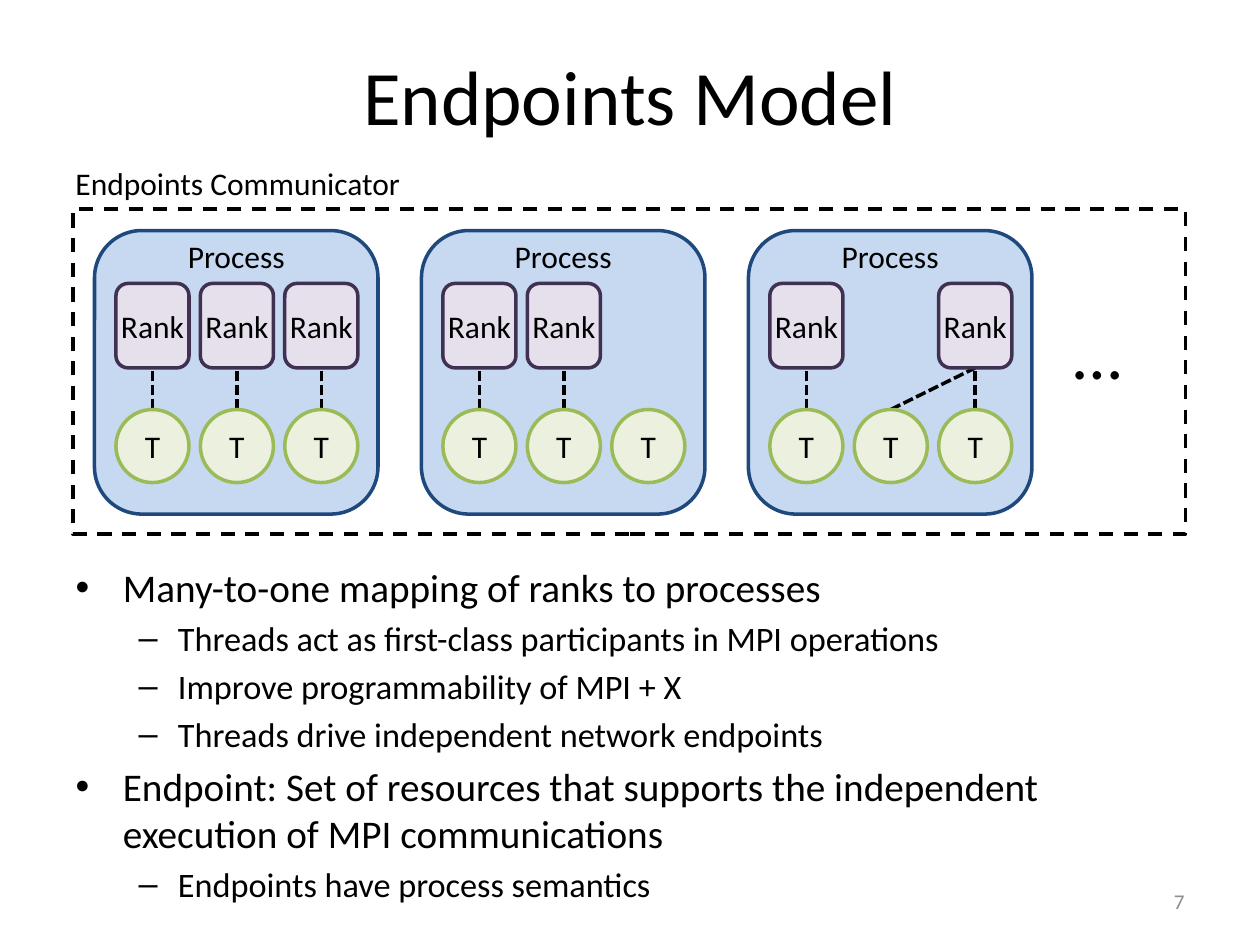
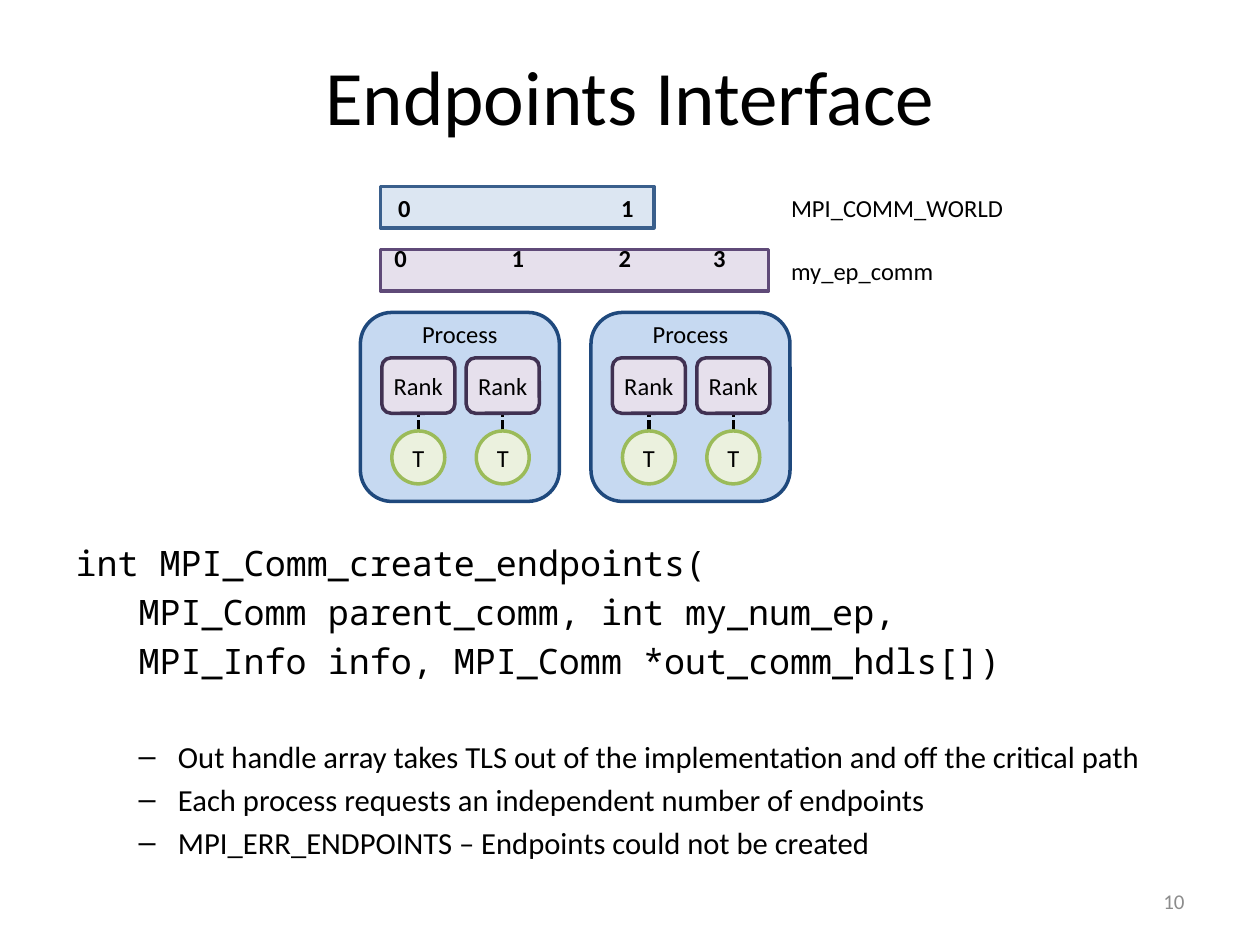
from lxml import etree
from pptx import Presentation
from pptx.dml.color import RGBColor
from pptx.enum.dml import MSO_LINE
from pptx.enum.shapes import MSO_CONNECTOR, MSO_SHAPE
from pptx.enum.text import MSO_ANCHOR, MSO_AUTO_SIZE, PP_ALIGN
from pptx.oxml.ns import qn
from pptx.util import Inches, Pt

RECT, ROUND, OVAL = MSO_SHAPE.RECTANGLE, MSO_SHAPE.ROUNDED_RECTANGLE, MSO_SHAPE.OVAL
LEFT, MID, RIGHT = PP_ALIGN.LEFT, PP_ALIGN.CENTER, PP_ALIGN.RIGHT
TOP, CENTER = MSO_ANCHOR.TOP, MSO_ANCHOR.MIDDLE
DASH, DOTS = MSO_LINE.DASH, MSO_LINE.SQUARE_DOT

# Shared look
FONT, MONO = "Calibri", "Noto Sans Mono"
BLACK, GREY = "000000", "8C8C8C"
BLUE, LILAC, GREEN = ("C6D9F1", "1F497D"), ("E6E0EC", "403152"), ("EBF1DE", "9BBB59")
SIZE = (10, 7.5)
EDGE, WIDE = 0.5, 9
PAD, PITCH, CELL = 0.17, 0.67, 0.58  # columns inside a process

# Content of the model slide
MODEL = [
    (0, "Many-to-one mapping of ranks to processes"),
    (1, "Threads act as first-class participants in MPI operations"),
    (1, "Improve programmability of MPI + X"),
    (1, "Threads drive independent network endpoints"),
    (0, "Endpoint: Set of resources that supports the independent "
        "execution of MPI communications"),
    (1, "Endpoints have process semantics"),
]
# Each process: columns with a rank, count of threads, (thread, rank) links
GROUPS = [
    ([0, 1, 2], 3, [(0, 0), (1, 1), (2, 2)]),
    ([0, 1], 3, [(0, 0), (1, 1)]),
    ([0, 2], 3, [(0, 0), (1, 2), (2, 2)]),
]
BIG = dict(box=(2.25, 2.25), rank=(0.42, 0.67), thread=(1.42, 0.58), size=18)

# Content of the interface slide
CODE = [
    (0, "int MPI_Comm_create_endpoints("),
    (0.5, "MPI_Comm parent_comm, int my_num_ep,"),
    (0.5, "MPI_Info info, MPI_Comm *out_comm_hdls[])"),
]
NOTES = [
    (1, "Out handle array takes TLS out of the implementation and off the critical path"),
    (1, "Each process requests an independent number of endpoints"),
    (1, "MPI_ERR_ENDPOINTS – Endpoints could not be created"),
]
PAIRS = [([0, 1], 2, [(0, 0), (1, 1)])] * 2
SMALL = dict(box=(1.58, 1.5), rank=(0.36, 0.44), thread=(0.94, 0.42), size=14)
# Bars: name, top, width, colours, numbers, tab stops, insets
BARS = [
    ("MPI_COMM_WORLD", 1.48, 2.17, ("DCE6F2", "3A5F8C"), "0\t1", [1.77],
     (0.14, 0.05, 0, 0.05)),
    ("my_ep_comm", 1.98, 3.08, ("E6E0EC", "5F4A78"), "0\t1\t2\t3", [0.93, 1.78, 2.53],
     (0.11, 0.05, 0, 0.24)),
]


def rgb(code):
    return RGBColor.from_string(code)


def style(para, size, font=FONT, color=BLACK, bold=False):
    for run in para.runs:
        face = run.font
        face.name, face.size, face.bold = font, Pt(size), bold
        face.color.rgb = rgb(color)


def write(shape, text, size, align=MID, anchor=CENTER, inset=(0, 0.05, 0, 0.05),
          color=BLACK, bold=False, wrap=True, tabs=()):
    frame = shape.text_frame
    frame.word_wrap, frame.vertical_anchor = wrap, anchor
    (frame.margin_left, frame.margin_top,
     frame.margin_right, frame.margin_bottom) = map(Inches, inset)
    para = frame.paragraphs[0]
    para.text, para.alignment = text, align
    if tabs:
        stops = etree.SubElement(para._p.get_or_add_pPr(), qn("a:tabLst"))
        for stop in tabs:
            etree.SubElement(stops, qn("a:tab"), pos=str(Inches(stop)), algn="l")
    style(para, size, color=color, bold=bold)


def label(slide, at, text, size, **look):
    box = slide.shapes.add_textbox(*map(Inches, at))
    write(box, text, size, inset=(0.1, 0.05, 0.1, 0.05), **look)


def block(slide, kind, at, fill, edge):
    shape = slide.shapes.add_shape(kind, *map(Inches, at))
    shape.shadow.inherit = False
    if fill:
        shape.fill.solid()
        shape.fill.fore_color.rgb = rgb(fill)
    else:
        shape.fill.background()
    shape.line.color.rgb, shape.line.width = rgb(edge), Pt(2)
    return shape


def link(slide, x1, y1, x2, y2):
    line = slide.shapes.add_connector(
        MSO_CONNECTOR.STRAIGHT, *map(Inches, (x1, y1, x2, y2)))
    line.line.color.rgb, line.line.width = rgb(BLACK), Pt(2)
    line.line.dash_style = DOTS
    etree.SubElement(line.element.spPr, qn("a:effectLst"))


def process(slide, x, y, group, form):
    ranks, count, links = group
    (drop, tall), (low, disc), size = form["rank"], form["thread"], form["size"]
    wide, high = form["box"]

    def mid(col):
        return x + PAD + CELL / 2 + col * PITCH

    block(slide, ROUND, (x, y, wide, high), *BLUE)
    label(slide, (x, y, wide, size / 45), "Process", size, anchor=TOP)
    for thread, rank in links:
        link(slide, mid(thread), y + low, mid(rank), y + drop + tall)
    for col in ranks:
        part = block(slide, ROUND, (mid(col) - CELL / 2, y + drop, CELL, tall), *LILAC)
        write(part, "Rank", size, wrap=False)
    for col in range(count):
        part = block(slide, OVAL, (mid(col) - disc / 2, y + low, disc, disc), *GREEN)
        write(part, "T", size, wrap=False)


def place(shape, at):
    shape.left, shape.top, shape.width, shape.height = map(Inches, at)


def start(deck, title, number, top, high):
    """Add a slide with its title and page number; return it and its body frame."""
    slide = deck.slides.add_slide(deck.slide_layouts[1])
    head, body = slide.placeholders
    place(head, (EDGE, 0.3, WIDE, 0.91))
    head.text_frame.text = title
    style(head.text_frame.paragraphs[0], 44)
    place(body, (EDGE, top, WIDE, high))
    body.text_frame.auto_size = MSO_AUTO_SIZE.NONE
    label(slide, (7.17, 6.95, 2.33, 0.4), number, 12, align=RIGHT, color=GREY)
    return slide, body.text_frame


def add(frame, text):
    para = frame.paragraphs[0]
    if para.text:
        para = frame.add_paragraph()
    else:
        para.space_before = Pt(0)
    para.text = text
    return para


def bullets(frame, items, sizes, gap=None):
    for level, text in items:
        para = add(frame, text)
        para.level = level
        if gap:
            para.space_before, gap = Pt(gap), None
        style(para, sizes[level])


def code(frame, lines, size):
    for indent, text in lines:
        para = add(frame, text)
        props = para._p.get_or_add_pPr()
        props.set("marL", str(Inches(indent)))
        props.set("indent", "0")
        etree.SubElement(props, qn("a:buNone"))
        style(para, size, MONO)


def model(deck):
    slide, frame = start(deck, "Endpoints Model", "7", 4.42, 2.42)
    bullets(frame, MODEL, (22.4, 19.6))
    rim = block(slide, RECT, (0.58, 1.66, 8.83, 2.58), None, BLACK)
    rim.line.dash_style = DASH
    label(slide, (EDGE, 1.25, 2.81, 0.4), "Endpoints Communicator", 18,
          align=LEFT, anchor=TOP, wrap=False)
    label(slide, (8.42, 2.41, 0.59, 0.77), "…", 40, align=LEFT, anchor=TOP, wrap=False)
    for i, group in enumerate(GROUPS):
        process(slide, 0.75 + i * 2.595, 1.83, group, BIG)


def interface(deck):
    slide, frame = start(deck, "Endpoints Interface", "10", 4.25, 2.7)
    code(frame, CODE, 20)
    bullets(frame, NOTES, (20, 17.5), gap=32)
    for name, top, wide, hues, text, tabs, inset in BARS:
        bar = block(slide, RECT, (3.02, top, wide, 0.33), *hues)
        write(bar, text, 14, align=LEFT, inset=inset, bold=True, tabs=tabs)
        label(slide, (6.18, top, 1.9, 0.34), name, 14, align=LEFT, anchor=TOP, wrap=False)
    for i, group in enumerate(PAIRS):
        process(slide, 2.86 + i * 1.83, 2.48, group, SMALL)


def main():
    deck = Presentation()
    deck.slide_width, deck.slide_height = map(Inches, SIZE)
    model(deck)
    interface(deck)
    deck.save("out.pptx")


if __name__ == "__main__":
    main()
